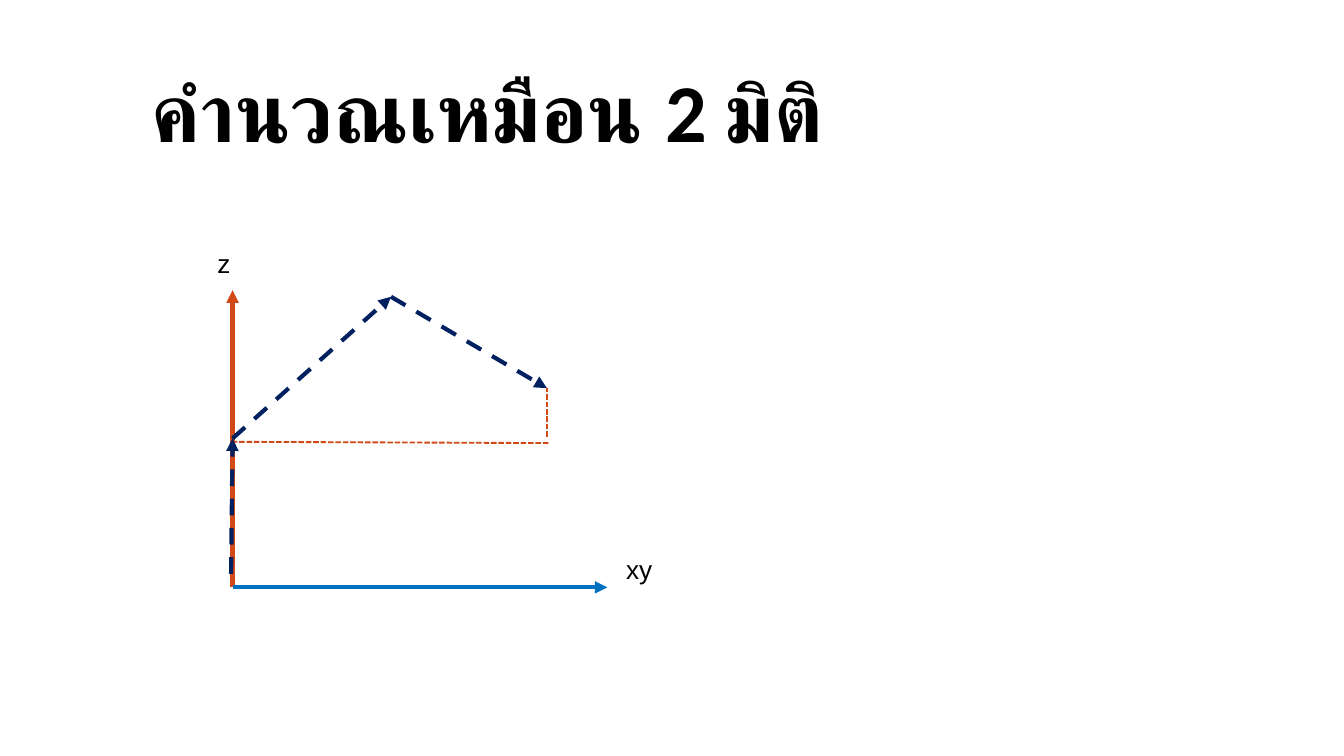
import pptx
import pptx.util
import pptx.dml.color
import pptx.enum.dml
import pptx.enum.shapes
import pptx.enum.text
import pptx.oxml.ns
from lxml import etree

Pt = pptx.util.Pt
DASH = pptx.enum.dml.MSO_LINE
ANCHOR = pptx.enum.text.MSO_ANCHOR

# Content: text, box, font, size, bold, anchor
TEXTS = [
    ("คำนวณเหมือน 2 มิติ", (74.2, 29.5, 553.7, 64.8), "Calibri", 44, True, ANCHOR.MIDDLE),
    ("xy", (328.3, 293, 74.2, 45.4), "Arial", 14, False, ANCHOR.TOP),
    ("z", (109.4, 128.9, 74.2, 45.4), "Arial", 14, False, ANCHOR.TOP),
]

# Key points of the diagram
ZERO = (124.6, 314.7)
START = (124.6, 234.9)
PEAK = (209.5, 159)
END = (293, 208)

RED, BLUE, NAVY = "D34817", "0070C0", "002060"

# Lines: from, to, colour, width, dash, arrow
LINES = [
    (ZERO, (ZERO[0], 155.5), RED, 2.25, None, True),
    (ZERO, (325.4, ZERO[1]), BLUE, 2.25, None, True),
    (START, PEAK, NAVY, 2.25, DASH.DASH, True),
    (PEAK, END, NAVY, 2.25, DASH.DASH, True),
    ((123.8, 307.4), START, NAVY, 2.25, DASH.DASH, True),
    ((293.8, 237.4), (126, 236.7), RED, 1, DASH.SQUARE_DOT, False),
    ((END[0], 234), END, RED, 1, DASH.SQUARE_DOT, False),
]


def color(code):
    return pptx.dml.color.RGBColor.from_string(code)


def line(slide, start, end, code, width, dash, arrow):
    kind = pptx.enum.shapes.MSO_CONNECTOR.STRAIGHT
    item = slide.shapes.add_connector(kind, *map(Pt, start + end))
    item.line.color.rgb = color(code)
    item.line.width = Pt(width)
    if dash:
        item.line.dash_style = dash
    qn = pptx.oxml.ns.qn
    if arrow:
        etree.SubElement(item.line._get_or_add_ln(), qn("a:tailEnd"), type="triangle")
    etree.SubElement(item._element.spPr, qn("a:effectLst"))


def label(slide, text, box, face, size, bold, anchor):
    frame = slide.shapes.add_textbox(*map(Pt, box)).text_frame
    frame.word_wrap = True
    frame.vertical_anchor = anchor
    para = frame.paragraphs[0]
    para.text = text
    if bold:
        para.line_spacing = 0.9
    font = para.font
    font.name, font.size, font.bold = face, Pt(size), bold
    font.color.rgb = color("000000")


def main():
    deck = pptx.Presentation()
    deck.slide_width, deck.slide_height = Pt(720), Pt(405)
    slide = deck.slides.add_slide(deck.slide_layouts[6])
    for row in LINES:
        line(slide, *row)
    for row in TEXTS:
        label(slide, *row)
    deck.save("out.pptx")


if __name__ == "__main__":
    main()
